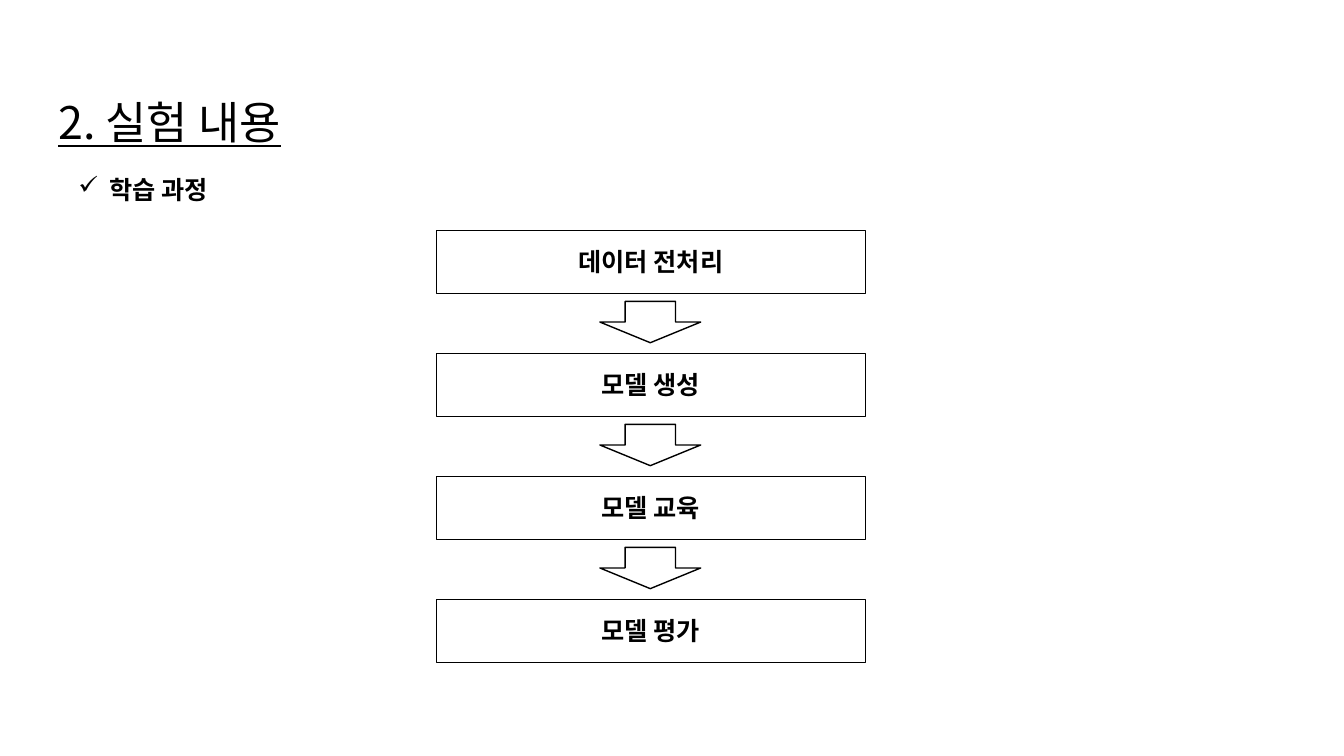
import pptx
import pptx.util
import pptx.dml.color
import pptx.enum.shapes
import pptx.enum.text
import pptx.oxml.ns
import lxml.etree
from pptx.util import Inches, Pt

COLORS = {"ink": "000000"}
FONT = "Noto Sans CJK KR"
SHAPES = pptx.enum.shapes.MSO_SHAPE
ALIGN = pptx.enum.text.PP_ALIGN
STEPS = ["데이터 전처리", "모델 생성", "모델 교육", "모델 평가"]


def ink():
    return pptx.dml.color.RGBColor.from_string(COLORS["ink"])


def write(tf, text, size, align, bold=False, underline=False):
    tf.text = text
    p = tf.paragraphs[0]
    p.alignment = align
    r = p.runs[0]
    r.font.name, r.font.size = FONT, Pt(size)
    r.font.bold, r.font.underline = bold, underline
    r.font.color.rgb = ink()
    # Korean glyphs use the East Asian typeface
    ea = lxml.etree.SubElement(r._r.get_or_add_rPr(), pptx.oxml.ns.qn("a:ea"))
    ea.set("typeface", FONT)
    return p


def add_text(slide, left, top, width, height, text, size, align, **style):
    sp = slide.shapes.add_textbox(Inches(left), Inches(top), Inches(width), Inches(height))
    tf = sp.text_frame
    tf.word_wrap = True
    tf.auto_size = pptx.enum.text.MSO_AUTO_SIZE.SHAPE_TO_FIT_TEXT
    return write(tf, text, size, align, **style)


def add_check_bullet(p, indent):
    pPr = p._p.get_or_add_pPr()
    pPr.set("marL", str(Inches(indent)))
    pPr.set("indent", str(-Inches(indent)))
    bullet = lxml.etree.SubElement(pPr, pptx.oxml.ns.qn("a:buChar"))
    bullet.set("char", "✓")


def add_outline(slide, kind, left, top, width, height, line_width):
    sp = slide.shapes.add_shape(kind, Inches(left), Inches(top), Inches(width), Inches(height))
    sp.shadow.inherit = False
    sp.fill.background()
    sp.line.color.rgb = ink()
    sp.line.width = Pt(line_width)
    return sp


def add_step(slide, top, text):
    sp = add_outline(slide, SHAPES.RECTANGLE, 4.33, top, 4.25, 0.63, 0.25)
    sp.text_frame.vertical_anchor = pptx.enum.text.MSO_ANCHOR.MIDDLE
    write(sp.text_frame, text, 18, ALIGN.CENTER, bold=True)


def main():
    prs = pptx.Presentation()
    prs.slide_width, prs.slide_height = Inches(13.33), Inches(7.5)
    slide = prs.slides.add_slide(prs.slide_layouts[6])

    # Headings
    add_text(slide, 0.48, 0.89, 6.38, 0.64, "2. 실험 내용", 32, ALIGN.LEFT, underline=True)
    p = add_text(slide, 0.68, 1.68, 1.74, 0.4, "학습 과정", 18, ALIGN.JUSTIFY, bold=True)
    add_check_bullet(p, 0.31)

    # Training steps with an arrow between neighbours
    first_top, pitch, arrow_offset = 2.28, 1.22, 0.71
    for i, step in enumerate(STEPS):
        top = first_top + i * pitch
        add_step(slide, top, step)
        if i < len(STEPS) - 1:
            add_outline(slide, SHAPES.DOWN_ARROW, 5.95, top + arrow_offset, 1, 0.41, 1)

    prs.save("out.pptx")


main()
